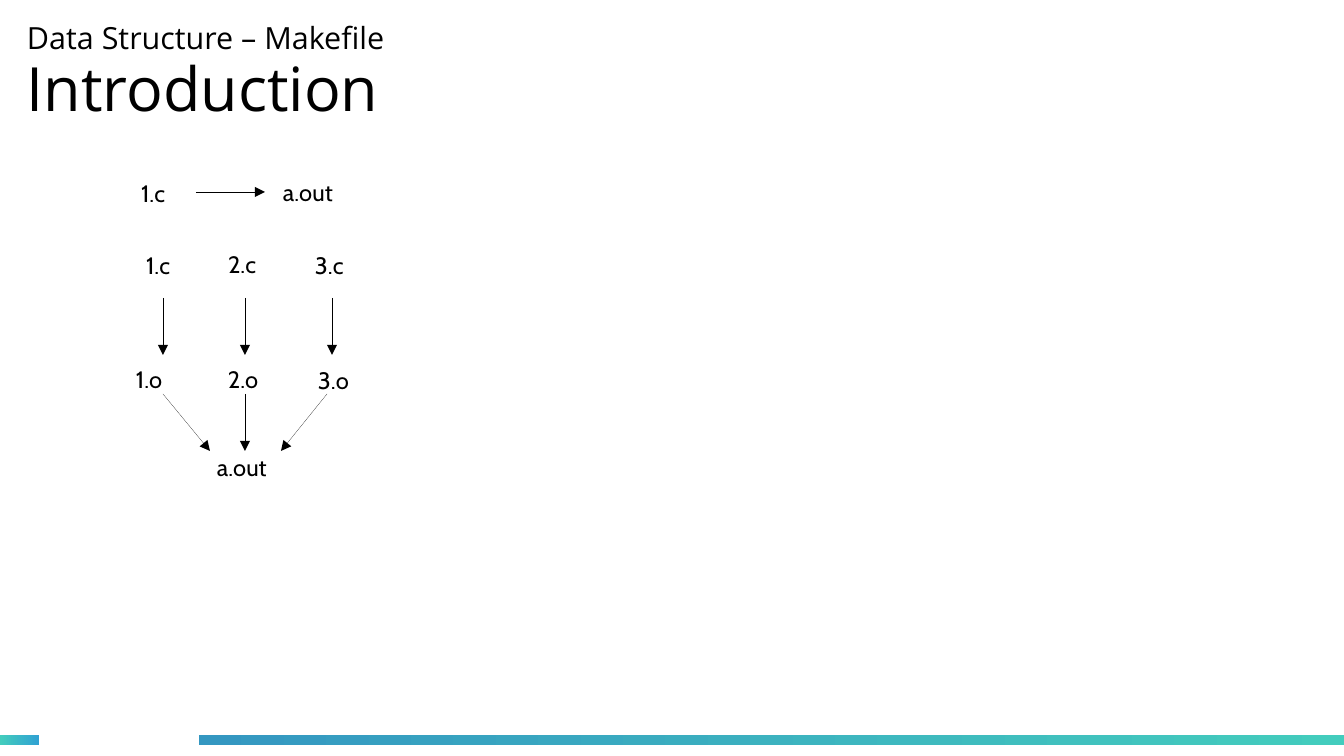
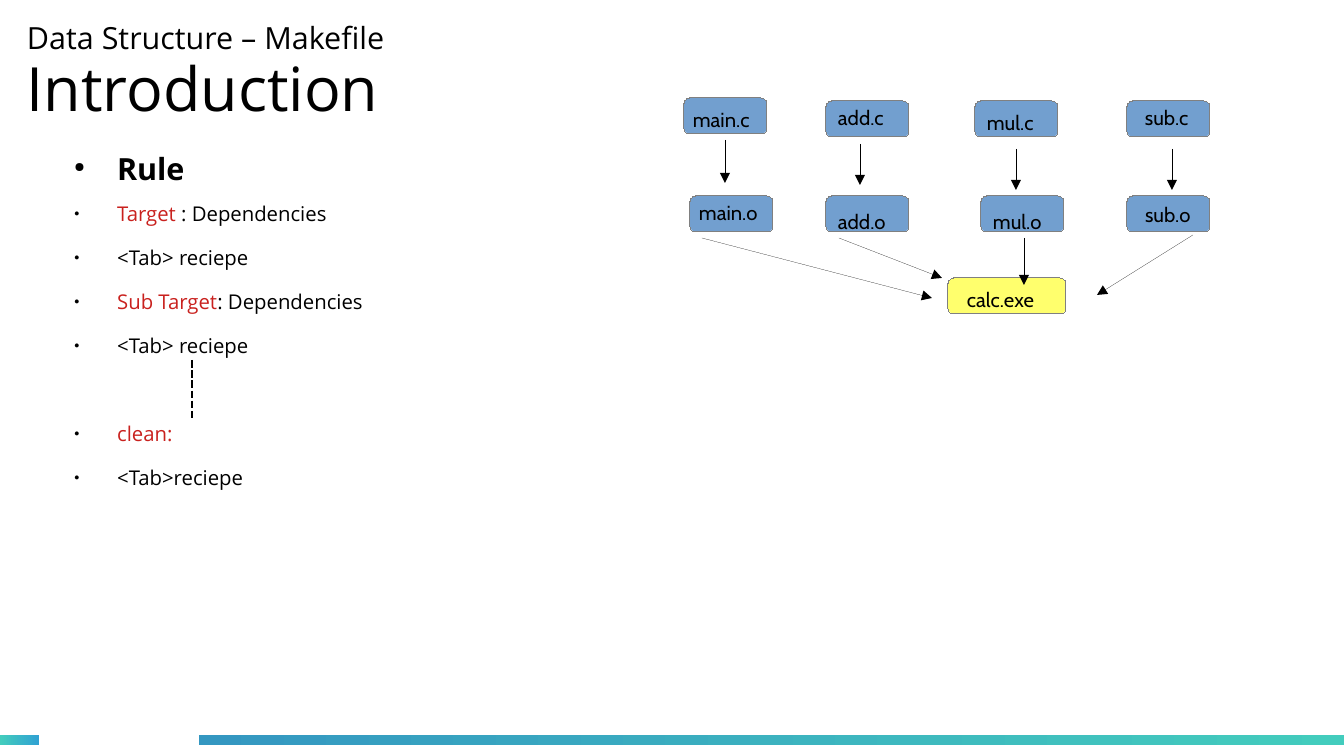
"""Build two Makefile introduction slides."""
from lxml import etree
from pptx import Presentation
from pptx import util as u
from pptx.dml.color import RGBColor
from pptx.enum import dml, shapes, text
from pptx.oxml.ns import qn

PX = 914400 / 122
BLACK, RED, GREY = "000000", "C9211E", "808080"
BLUE, YELLOW = "729FCF", "FFFF6D"
HAIRLINE = 0.01

TITLE = [("Data Structure – Makefile", 18), ("Introduction", 36)]
BANDS = [
    ((0, 735, 39, 10), ("43CCBD", "30A2D2")),
    ((199, 735, 1145, 10), ("3497C1", "43CCBD")),
]

FILE_LABELS = [
    ("1.c", 129, 173, 67), ("a.out", 271, 172, 94),
    ("1.c", 134, 245, 67), ("2.c", 216, 244, 67), ("3.c", 303, 245, 67),
    ("1.o", 124, 359, 68), ("2.o", 216, 359, 68), ("3.o", 306, 360, 68),
    ("a.out", 205, 447, 93),
]
COMPILE_X = [163, 245, 332]
LINK_X = [(163, 210), (245, 245), (327, 281)]
FILE_ARROWS = ([(196, 192, 265, 192)]
               + [(x, 298, x, 355) for x in COMPILE_X]
               + [(x1, 394, x2, 451) for x1, x2 in LINK_X])

RULE = [[("Rule", BLACK)]]
RECIPES = [
    [("Target", RED), (" : Dependencies", BLACK)],
    [("<Tab> reciepe", BLACK)],
    [("Sub Target", RED), (": Dependencies", BLACK)],
    [("<Tab> reciepe", BLACK)],
    [("clean:", RED)],
    [("<Tab>reciepe", BLACK)],
]
GAP_BEFORE = {4: 26}

NODES = [
    ("main.c", (684, 98, 83), (681, 101, 93), BLUE),
    ("add.c", (826, 101, 83), (826, 99, 79), BLUE),
    ("mul.c", (975, 101, 83), (975, 104, 81), BLUE),
    ("sub.c", (1127, 101, 83), (1133, 99, 78), BLUE),
    ("main.o", (690, 196, 83), (687, 194, 94), BLUE),
    ("add.o", (826, 196, 83), (826, 203, 81), BLUE),
    ("mul.o", (981, 196, 83), (981, 203, 82), BLUE),
    ("sub.o", (1127, 196, 83), (1133, 196, 96), BLUE),
    ("calc.exe", (948, 278, 118), (955, 281, 107), YELLOW),
]
NODE_H = 36
BUILD_ARROWS = [
    (725, 140, 725, 183), (860, 144, 860, 185),
    (1016, 149, 1016, 190), (1172, 149, 1172, 190),
    (702, 238, 932, 298), (839, 238, 942, 278),
    (1024, 238, 1024, 285), (1193, 235, 1097, 295),
]


def px(*values):
    return [u.Emu(round(v * PX)) for v in values]


def rgb(value):
    return RGBColor.from_string(value)


def assign(target, **values):
    for name, value in values.items():
        setattr(target, name, value)


def place(sp, *box):
    assign(sp, **dict(zip(("left", "top", "width", "height"), px(*box))))


def add_run(p, words, size, font, color=BLACK, bold=False):
    r = p.add_run()
    r.text = words
    assign(r.font, size=u.Pt(size), name=font, bold=bold)
    r.font.color.rgb = rgb(color)


def add_bands(prs, s):
    tree = prs.slide_master.shapes.element
    for i, (box, colors) in enumerate(BANDS):
        sp = s.shapes.add_shape(shapes.MSO_SHAPE.RECTANGLE, *px(*box))
        sp.shadow.inherit = False
        sp.line.fill.background()
        sp.fill.gradient()
        sp.fill.gradient_angle = 0
        for stop, color in zip(sp.fill.gradient_stops, colors):
            stop.color.rgb = rgb(color)
        tree.insert(2 + i, sp.element)


def set_title(s):
    sp = s.shapes.title
    place(sp, 27, 12, 937, 124)
    tf = sp.text_frame
    assign(tf, margin_left=0, margin_right=0, margin_top=0, margin_bottom=0,
           word_wrap=True, auto_size=text.MSO_AUTO_SIZE.NONE,
           vertical_anchor=text.MSO_ANCHOR.MIDDLE)
    p = tf.paragraphs[0]
    assign(p, alignment=text.PP_ALIGN.LEFT, line_spacing=0.94)
    for i, (words, size) in enumerate(TITLE):
        if i:
            p.add_line_break()
        add_run(p, words, size, "Open Sans")


def fill_list(sp, items, size, pitch, bold=False, gaps=None):
    tf = sp.text_frame
    assign(tf, word_wrap=True, auto_size=text.MSO_AUTO_SIZE.NONE,
           vertical_anchor=text.MSO_ANCHOR.TOP)
    for i, runs in enumerate(items):
        p = tf.add_paragraph() if i else tf.paragraphs[0]
        assign(p, alignment=text.PP_ALIGN.LEFT, line_spacing=u.Pt(pitch),
               space_before=u.Pt((gaps or {}).get(i, 0)),
               space_after=u.Pt(11.4))
        for words, color in runs:
            add_run(p, words, size, "Open Sans", color, bold)
        pPr = p._p.get_or_add_pPr()
        margin, indent = px(57, -43)
        pPr.set("marL", str(margin))
        pPr.set("indent", str(indent))
        color = etree.SubElement(pPr, qn("a:buClr"))
        etree.SubElement(color, qn("a:srgbClr"), val=BLACK)
        etree.SubElement(pPr, qn("a:buSzPct"), val="45000")
        etree.SubElement(pPr, qn("a:buChar"), char="●")


def add_label(s, words, x, y, w, size):
    sp = s.shapes.add_textbox(*px(x, y, w, 44 if size > 12 else 40))
    sp.text_frame.word_wrap = True
    add_run(sp.text_frame.paragraphs[0], words, size, "Cabin")


def add_line(s, ends, width=HAIRLINE, arrow=True):
    sp = s.shapes.add_connector(shapes.MSO_CONNECTOR.STRAIGHT, *px(*ends))
    sp.line.color.rgb = rgb(BLACK)
    sp.line.width = u.Pt(width)
    spPr = sp.element.spPr
    if arrow:
        etree.SubElement(spPr.find(qn("a:ln")), qn("a:tailEnd"),
                         type="triangle")
    else:
        sp.line.dash_style = dml.MSO_LINE.SQUARE_DOT
    etree.SubElement(spPr, qn("a:effectLst"))


def add_node(s, box, color):
    sp = s.shapes.add_shape(shapes.MSO_SHAPE.ROUNDED_RECTANGLE,
                            *px(*box, NODE_H))
    sp.shadow.inherit = False
    sp.fill.solid()
    sp.fill.fore_color.rgb = rgb(color)
    sp.line.color.rgb = rgb(GREY)
    sp.line.width = u.Pt(HAIRLINE)


def build_files(s):
    set_title(s)
    for words, x, y, w in FILE_LABELS:
        add_label(s, words, x, y, w, 14)
    for ends in FILE_ARROWS:
        add_line(s, ends)


def build_rules(s):
    set_title(s)
    body = s.placeholders[1]
    place(body, 48, 195, 422, 322)
    fill_list(body, RECIPES, 12, 14.5, gaps=GAP_BEFORE)
    rule = s.shapes.add_textbox(*px(48, 142, 260, 56))
    fill_list(rule, RULE, 18, 23, bold=True)
    add_line(s, (192, 360, 192, 418), 1.5, arrow=False)
    for words, box, label, color in NODES:
        add_node(s, box, color)
        add_label(s, words, *label, 12)
    for ends in BUILD_ARROWS:
        add_line(s, ends)


def main():
    prs = Presentation()
    prs.slide_width, prs.slide_height = px(1344, 756)
    files = prs.slides.add_slide(prs.slide_layouts[5])
    add_bands(prs, files)
    build_files(files)
    build_rules(prs.slides.add_slide(prs.slide_layouts[1]))
    prs.save("out.pptx")


if __name__ == "__main__":
    main()
